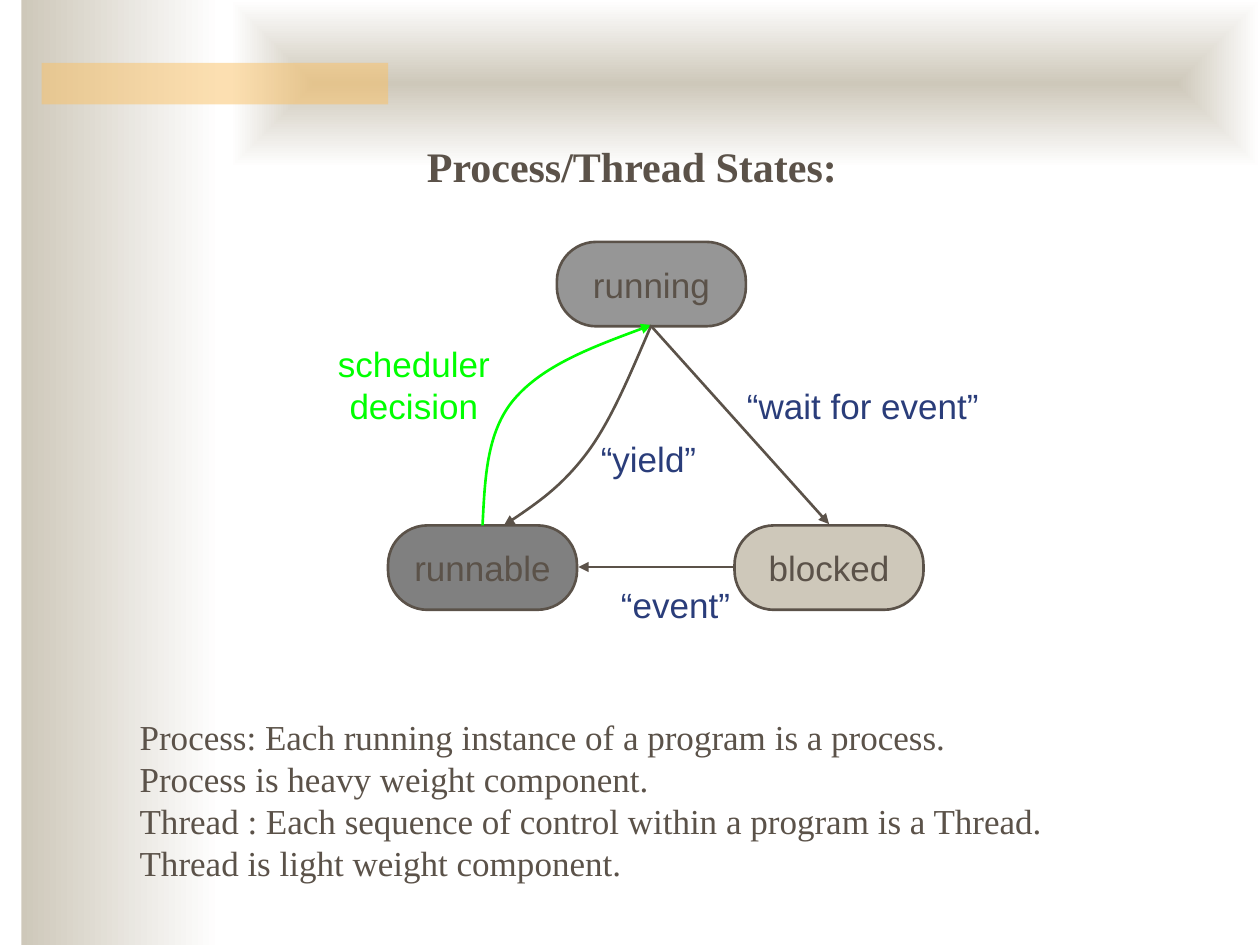
from typing import NamedTuple

from lxml.etree import SubElement
from pptx import Presentation
from pptx.dml.color import RGBColor
from pptx.enum.shapes import MSO_CONNECTOR as Link, MSO_SHAPE as Kind
from pptx.enum.text import MSO_ANCHOR as Anchor, MSO_AUTO_SIZE as Fit, PP_ALIGN as Align
from pptx.oxml.ns import qn
from pptx.util import Inches, Pt

SAND = RGBColor(0xCE, 0xC8, 0xBA)
WHITE = RGBColor(0xFF, 0xFF, 0xFF)
AMBER = RGBColor(0xFA, 0xC1, 0x64)
BROWN = RGBColor(0x5B, 0x52, 0x49)
NAVY = RGBColor(0x2A, 0x3D, 0x7A)
GREEN = RGBColor(0x00, 0xFF, 0x00)
MID = RGBColor(0x96, 0x96, 0x96)
DARK = RGBColor(0x80, 0x80, 0x80)
SANS, SERIF = "Arial", "Times New Roman"
Point = tuple[float, float]


class Box(NamedTuple):
    left: float
    top: float
    width: float
    height: float


class State(NamedTuple):
    name: str
    left: float
    top: float
    fill: RGBColor


class Label(NamedTuple):
    text: str
    box: Box
    color: RGBColor = NAVY
    size: int = 20
    face: str = SANS
    align: Align = Align.LEFT
    bold: bool = False


class Curve(NamedTuple):
    points: list[Point]  # start, then three points for each bend
    color: RGBColor


STATES = [
    State("running", 4.42, 1.92, MID),
    State("blocked", 5.83, 4.17, SAND),
    State("runnable", 3.08, 4.17, DARK),
]
ARROWS = [((5.82, 4.5), (4.59, 4.5)), ((5.17, 2.59), (6.58, 4.16))]
CURVES = [
    Curve([(3.83, 4.17), (3.85, 3.8), (3.86, 3.43), (4.08, 3.17),
           (4.31, 2.9), (4.74, 2.74), (5.17, 2.58)], GREEN),
    Curve([(5.17, 2.58), (5.01, 2.95), (4.86, 3.32), (4.67, 3.58),
           (4.47, 3.85), (4.24, 4.01), (4, 4.17)], BROWN),
]
NOTES = "\n".join([
    "Process: Each running instance of a program is a process.",
    "Process is heavy weight component.",
    "Thread : Each sequence of control within a program is a Thread.",
    "Thread is light weight component.",
])
LABELS = [
    Label("Process/Thread States:", Box(3.29, 1.07, 3.47, 0.5), BROWN, 24, SERIF, bold=True),
    Label("“yield”", Box(4.67, 3.42, 0.96, 0.44)),
    Label("“wait for event”", Box(5.83, 3, 2.04, 0.44)),
    Label("“event”", Box(4.83, 4.58, 1.08, 0.44)),
    Label("scheduler\ndecision", Box(2.57, 2.67, 1.43, 0.77), GREEN, align=Align.CENTER),
    Label(NOTES, Box(1.01, 5.63, 7.37, 1.44), BROWN, face=SERIF),
]


def add_shape(slide, kind: Kind, box: Box):
    shape = slide.shapes.add_shape(kind, *map(Inches, box))
    shape.shadow.inherit = False
    return shape


def add_fade(slide, box: Box, centred: bool = False) -> None:
    shape = add_shape(slide, Kind.RECTANGLE, box)
    shape.line.fill.background()
    shape.fill.gradient()
    shape.fill.gradient_angle = 0
    for stop, color in zip(shape.fill.gradient_stops, (SAND, WHITE)):
        stop.color.rgb = color
    if centred:
        grad = shape._element.spPr.find(qn("a:gradFill"))
        grad.remove(grad.find(qn("a:lin")))
        route = SubElement(grad, qn("a:path"), path="rect")
        SubElement(route, qn("a:fillToRect"), dict.fromkeys("ltrb", "50000"))


def add_bar(slide, box: Box) -> None:
    bar = add_shape(slide, Kind.RECTANGLE, box)
    bar.line.fill.background()
    bar.fill.solid()
    bar.fill.fore_color.rgb = AMBER
    tint = bar._element.spPr.find(qn("a:solidFill"))[0]
    SubElement(tint, qn("a:alpha"), val="50000")


def set_text(frame, label: Label) -> None:
    frame.word_wrap = False
    frame.text = label.text
    for para in frame.paragraphs:
        para.alignment = label.align
        font = para.font
        font.name, font.size, font.bold = label.face, Pt(label.size), label.bold
        font.color.rgb = label.color


def add_label(slide, label: Label) -> None:
    frame = slide.shapes.add_textbox(*map(Inches, label.box)).text_frame
    set_text(frame, label)
    frame.auto_size = Fit.SHAPE_TO_FIT_TEXT


def add_state(slide, state: State) -> None:
    box = Box(state.left, state.top, 1.5, 0.67)
    shape = add_shape(slide, Kind.ROUNDED_RECTANGLE, box)
    shape.adjustments[0] = 0.466
    shape.fill.solid()
    shape.fill.fore_color.rgb = state.fill
    set_line(shape.line, BROWN)
    set_text(shape.text_frame, Label(state.name, box, BROWN, align=Align.CENTER))
    shape.text_frame.vertical_anchor = Anchor.MIDDLE


def set_line(line, color: RGBColor, head: bool = False) -> None:
    line.color.rgb = color
    line.width = Pt(1.5)
    if head:
        SubElement(line._get_or_add_ln(), qn("a:tailEnd"), type="triangle")


def add_arrow(slide, start: Point, end: Point) -> None:
    arrow = slide.shapes.add_connector(Link.STRAIGHT, *map(Inches, start + end))
    set_line(arrow.line, BROWN, head=True)
    SubElement(arrow._element.spPr, qn("a:effectLst"))


def add_curve(slide, curve: Curve) -> None:
    # The builder rounds to whole units, so it is given EMU
    start, *rest = [(Inches(x), Inches(y)) for x, y in curve.points]
    maker = slide.shapes.build_freeform(*start)
    maker.add_line_segments(rest, close=False)
    shape = maker.convert_to_shape()
    shape.shadow.inherit = False
    shape.fill.background()
    set_line(shape.line, curve.color, head=True)
    # Join each three straight steps into one cubic bend
    track = next(shape._element.iter(qn("a:path")))
    steps = track.findall(qn("a:lnTo"))
    for i in range(0, len(steps), 3):
        bend = SubElement(track, qn("a:cubicBezTo"))
        for step in steps[i:i + 3]:
            bend.append(step[0])
            track.remove(step)


def main() -> None:
    deck = Presentation()
    deck.slide_width, deck.slide_height = Inches(10), Inches(7.5)
    slide = deck.slides.add_slide(deck.slide_layouts[6])

    # Backdrop
    add_fade(slide, Box(0.17, 0, 1.58, 7.5))
    add_fade(slide, Box(1.83, 0, 8.17, 1.33), centred=True)
    add_bar(slide, Box(0.33, 0.5, 2.75, 0.33))

    # State diagram
    for state in STATES:
        add_state(slide, state)
    for start, end in ARROWS:
        add_arrow(slide, start, end)
    for curve in CURVES:
        add_curve(slide, curve)

    # Title, arrow labels and notes
    for label in LABELS:
        add_label(slide, label)
    deck.save("out.pptx")


if __name__ == "__main__":
    main()
